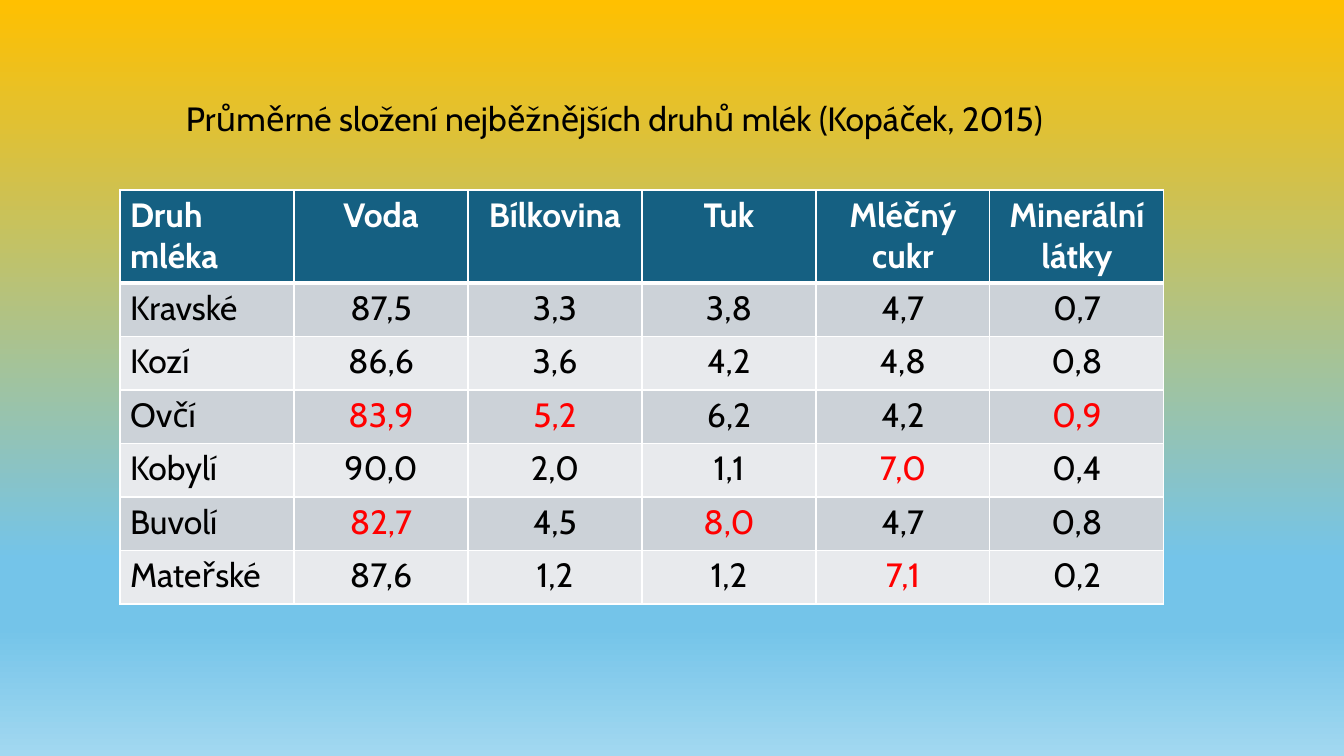
"""Builds a slide with a table of the average composition of common kinds of milk."""
import copy
from dataclasses import dataclass

import pptx
import pptx.dml.color
import pptx.enum.text
import pptx.oxml
import pptx.oxml.ns
import pptx.util


@dataclass(frozen=True)
class Theme:
    font: str = "Cabin"
    size: int = 24
    text: str = "000000"
    accent: str = "FF0000"
    header_text: str = "FFFFFF"
    header_fill: str = "156082"
    bands: tuple = ("CCD2D8", "E8EAED")
    border: str = "FFFFFF"
    thin: int = 1
    thick: int = 3
    backdrop: tuple = ((0, "FFC000"), (0.74, "74C4E9"), (0.83, "74C4E9"), (1, "A2D8F0"))


THEME = Theme()
EMU_PER_PX = 914400 / 100.8
TITLE = "Průměrné složení nejběžnějších druhů mlék (Kopáček, 2015)"
HEADER = ("Druh mléka", "Voda", "Bílkovina", "Tuk", "Mléčný cukr", "Minerální látky")
MILKS = (
    ("Kravské", "87,5", "3,3", "3,8", "4,7", "0,7"),
    ("Kozí", "86,6", "3,6", "4,2", "4,8", "0,8"),
    ("Ovčí", "83,9", "5,2", "6,2", "4,2", "0,9"),
    ("Kobylí", "90,0", "2,0", "1,1", "7,0", "0,4"),
    ("Buvolí", "82,7", "4,5", "8,0", "4,7", "0,8"),
    ("Mateřské", "87,6", "1,2", "1,2", "7,1", "0,2"),
)
HIGHLIGHTS = {
    ("Ovčí", "Voda"), ("Ovčí", "Bílkovina"), ("Ovčí", "Minerální látky"),
    ("Kobylí", "Mléčný cukr"), ("Buvolí", "Voda"), ("Buvolí", "Tuk"),
    ("Mateřské", "Mléčný cukr"),
}


def px(n):
    return pptx.util.Emu(round(n * EMU_PER_PX))


def rgb(value):
    return pptx.dml.color.RGBColor.from_string(value)


def set_text(tf, text, color, bold=False, centered=False):
    tf.text = text
    p = tf.paragraphs[0]
    if centered:
        p.alignment = pptx.enum.text.PP_ALIGN.CENTER
    font = p.runs[0].font
    font.name = THEME.font
    font.size = pptx.util.Pt(THEME.size)
    font.bold = bold
    font.color.rgb = rgb(color)


def set_background(s):
    fill = s.background.fill
    fill.gradient()
    fill.gradient_angle = 270
    stop_list = s.element.xpath(".//a:gsLst")[0]
    while len(stop_list) < len(THEME.backdrop):
        stop_list.append(copy.deepcopy(stop_list[0]))
    for stop, (position, color) in zip(fill.gradient_stops, THEME.backdrop):
        stop.position = position
        stop.color.rgb = rgb(color)


def set_borders(cell, top, bottom):
    tc_pr = cell._tc.get_or_add_tcPr()
    widths = {"L": THEME.thin, "R": THEME.thin, "T": top, "B": bottom}
    for side, width in widths.items():
        tc_pr.append(pptx.oxml.parse_xml(
            f'<a:ln{side} {pptx.oxml.ns.nsdecls("a")} w="{pptx.util.Pt(width)}">'
            f'<a:solidFill><a:srgbClr val="{THEME.border}"/></a:solidFill></a:ln{side}>'))


def style_cell(cell, text, row, col):
    is_header = row == 0
    if is_header:
        fill, color = THEME.header_fill, THEME.header_text
    else:
        fill = THEME.bands[(row - 1) % 2]
        marked = (MILKS[row - 1][0], HEADER[col]) in HIGHLIGHTS
        color = THEME.accent if marked else THEME.text
    set_borders(cell, top=THEME.thick if row == 1 else THEME.thin,
                bottom=THEME.thick if is_header else THEME.thin)
    cell.fill.solid()
    cell.fill.fore_color.rgb = rgb(fill)
    set_text(cell.text_frame, text, color, bold=is_header, centered=col > 0)


def add_milk_table(s, left, top, width, height, header_height):
    rows = (HEADER, *MILKS)
    table = s.shapes.add_table(len(rows), len(HEADER), px(left), px(top),
                               px(width), px(height)).table
    for column in table.columns:
        column.width = px(width / len(HEADER))
    for i, values in enumerate(rows):
        body_height = (height - header_height) / len(MILKS)
        table.rows[i].height = px(body_height if i else header_height)
        for j, text in enumerate(values):
            style_cell(table.cell(i, j), text, i, j)


def add_title(s, left, top, width, height):
    tf = s.shapes.add_textbox(px(left), px(top), px(width), px(height)).text_frame
    tf.word_wrap = True
    tf.auto_size = pptx.enum.text.MSO_AUTO_SIZE.SHAPE_TO_FIT_TEXT
    set_text(tf, TITLE, THEME.text)


def main():
    prs = pptx.Presentation()
    prs.slide_width, prs.slide_height = px(1344), px(756)
    s = prs.slides.add_slide(prs.slide_layouts[6])
    set_background(s)
    add_milk_table(s, 120, 190, 1044, 414, header_height=93)
    add_title(s, 176, 93, 896, 50)
    prs.save("out.pptx")


if __name__ == "__main__":
    main()
